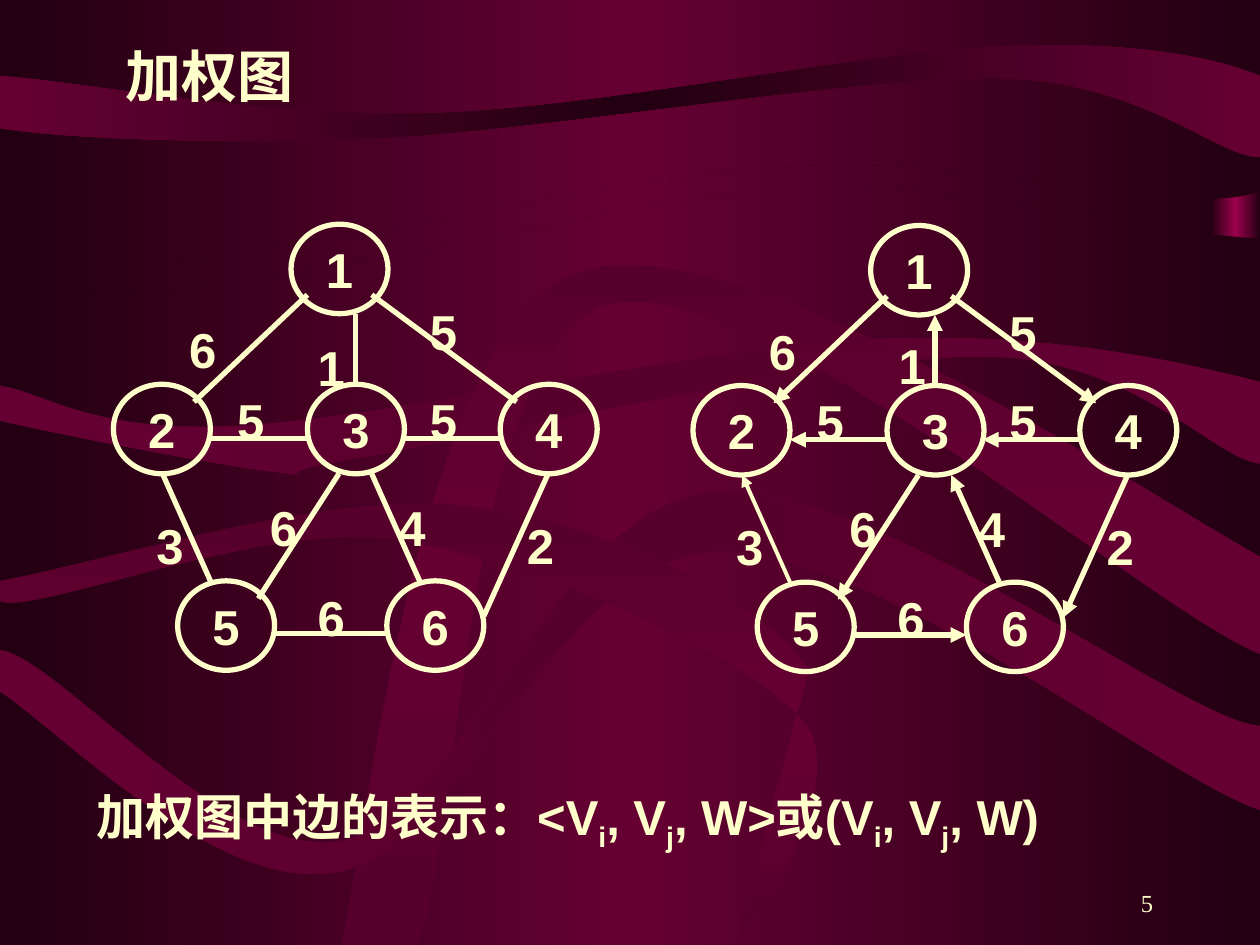
from copy import deepcopy
from dataclasses import dataclass

from lxml import etree
from pptx import Presentation
from pptx.dml.color import RGBColor
from pptx.enum import shapes, text
from pptx.oxml.ns import qn
from pptx.util import Pt

SCALE = 9144  # EMU per px, 100 px to the inch


@dataclass(frozen=True)
class Theme:
    ink: str = "FFFFCC"
    night: str = "220011"
    wine: str = "660033"
    plum: str = "56002B"
    glow: str = "9C004E"
    sans: str = "Arial"
    serif: str = "Times New Roman"
    title: int = 32
    body: int = 28
    number: int = 14
    stroke: float = 3
    thin_stroke: float = 2.25


THEME = Theme()
INK = RGBColor.from_string(THEME.ink)

# Outlines: a start point, then line ends (x, y) or Bezier curves (three points)
UPPER_FIELD = [(0, 0), (1000, 0), (1000, 152), (938, 174, 792, 122, 625, 132),
               (458, 142, 104, 233, 0, 211)]
LOWER_FIELD = [(0, 228), (178, 245, 340, 194, 458, 174), (458, 174, 567, 158, 586, 155),
               (715, 127, 917, 189, 1000, 189), (1000, 750), (0, 750)]
TOP_RIBBON = [(0, 60), (0, 102), (51, 110, 176, 115, 308, 109),
              (440, 102, 679, 60, 794, 62), (909, 65, 966, 125, 1000, 125), (1000, 60),
              (965, 46, 901, 32, 792, 37), (682, 42, 477, 86, 345, 90),
              (213, 94, 72, 66, 0, 60)]
MIDDLE_RIBBON = [(0, 306), (0, 334), (37, 343, 175, 370, 222, 375),
                 (269, 380, 190, 379, 282, 364), (375, 348, 660, 282, 780, 283),
                 (900, 283, 963, 365, 1000, 368), (1000, 303),
                 (950, 290, 836, 263, 701, 269), (566, 274, 307, 332, 190, 338),
                 (73, 344, 40, 313, 0, 306)]
ARCH_RIBBON = [(271, 750), (291, 661, 332, 269, 454, 218), (575, 166, 909, 392, 1000, 442),
               (1000, 519), (913, 485, 591, 205, 479, 243), (368, 282, 366, 666, 331, 750)]
WAVE_RIBBON = [(0, 516), (0, 549), (45, 578, 174, 711, 269, 692),
               (363, 674, 443, 446, 565, 438), (687, 429, 927, 620, 1000, 643), (1000, 576),
               (938, 572, 691, 377, 562, 391), (441, 406, 367, 646, 273, 667),
               (179, 687, 45, 520, 0, 516)]
CURL_RIBBON = [(0, 461), (0, 477), (26, 489, 208, 413, 314, 428),
               (420, 444, 592, 518, 637, 572), (682, 625, 582, 757, 583, 750), (642, 532),
               (606, 474, 473, 413, 366, 401), (259, 389, 76, 448, 0, 461)]

# Graph parts, relative to the corner of the graph
NODE_SIZE, WEIGHT_SIZE = (77, 71), (64, 51)
NODES = [("1", 141, 0), ("2", 0, 127), ("3", 154, 127), ("4", 307, 127),
         ("5", 51, 283), ("6", 217, 283)]
EDGES = [  # ends, arrow end when directed, width when directed
    ((77, 170, 154, 170), "headEnd", THEME.stroke),
    ((230, 170, 307, 170), "headEnd", THEME.stroke),
    ((192, 71, 192, 127), "headEnd", THEME.stroke),
    ((39, 198, 77, 283), "headEnd", THEME.thin_stroke),
    ((115, 297, 179, 198), "headEnd", THEME.stroke),
    ((205, 198, 243, 283), "headEnd", THEME.stroke),
    ((294, 311, 345, 198), "headEnd", THEME.stroke),
    ((128, 325, 217, 325), "tailEnd", THEME.stroke),
    ((64, 141, 154, 56), "headEnd", THEME.stroke),
    ((320, 141, 205, 56), "headEnd", THEME.stroke),
]
WEIGHTS = [("6", 39, 71), ("6", 141, 283), ("5", 230, 56), ("5", 77, 127),
           ("5", 230, 127), ("6", 103, 212), ("3", 13, 226), ("4", 205, 212),
           ("2", 307, 226)]


def emu(*lengths):
    return [round(length * SCALE) for length in lengths]


def fill_gradient(fill, element, edge, middle, angle=0):
    """Three stops: the same colour at both ends, another halfway."""
    fill.gradient()
    fill.gradient_angle = angle
    stops = element.find(".//" + qn("a:gsLst"))
    stops.insert(1, deepcopy(stops[0]))
    stops[1].set("pos", "50000")
    for stop, colour in zip(fill.gradient_stops, (edge, middle, edge)):
        stop.color.rgb = RGBColor.from_string(colour)


def finish_panel(shape, edge, middle, angle=0):
    shape.shadow.inherit = False
    shape.line.fill.background()
    fill_gradient(shape.fill, shape._element, edge, middle, angle)


def draw_outline(page, outline):
    """Draw the control points as lines, then join each curve's three into one."""
    start, *segments = outline
    points = [segment[i:i + 2] for segment in segments for i in range(0, len(segment), 2)]
    builder = page.shapes.build_freeform(*start, scale=SCALE)
    builder.add_line_segments(points, close=True)
    shape = builder.convert_to_shape()
    lines = iter(list(shape._element.iter(qn("a:lnTo"))))
    for segment in segments:
        line = next(lines)
        if len(segment) == 6:
            line.addprevious(curve := etree.Element(qn("a:cubicBezTo")))
            for part in (line, next(lines), next(lines)):
                curve.append(part[0])
                part.getparent().remove(part)
    return shape


def draw_backdrop(page):
    fill_gradient(page.background.fill, page._element, THEME.night, THEME.wine)
    bar = page.shapes.add_shape(shapes.MSO_SHAPE.RECTANGLE, *emu(961, 49, 39, 345))
    finish_panel(bar, THEME.night, THEME.glow)
    for outline, edge, middle, angle in (
            (UPPER_FIELD, THEME.night, THEME.wine, 0),
            (LOWER_FIELD, THEME.night, THEME.wine, 0),
            (TOP_RIBBON, THEME.wine, THEME.night, 0),
            (MIDDLE_RIBBON, THEME.wine, THEME.plum, 0),
            (ARCH_RIBBON, THEME.plum, THEME.wine, 90),
            (WAVE_RIBBON, THEME.wine, THEME.plum, 0),
            (CURL_RIBBON, THEME.plum, THEME.wine, 90)):
        finish_panel(draw_outline(page, outline), edge, middle, angle)


def write(shape, spans, size, align=text.PP_ALIGN.LEFT, anchor=text.MSO_ANCHOR.TOP,
          font=THEME.sans, bold=True):
    """Write (wording, is_subscript) spans as one paragraph."""
    frame = shape.text_frame
    frame.word_wrap = True
    frame.vertical_anchor = anchor
    para = frame.paragraphs[0]
    para.alignment = align
    para.font.name, para.font.size, para.font.bold = font, Pt(size), bold
    para.font.color.rgb = INK
    for wording, is_subscript in spans:
        span = para.add_run()
        span.text = wording
        if is_subscript:
            span._r.get_or_add_rPr().set("baseline", "-25000")


def draw_edge(group, ends, width, arrow=None):
    edge = group.shapes.add_connector(shapes.MSO_CONNECTOR.STRAIGHT, *emu(*ends))
    edge.line.color.rgb = INK
    edge.line.width = Pt(width)
    properties = edge._element.spPr
    if arrow:
        etree.SubElement(properties.find(qn("a:ln")), qn("a:" + arrow), type="triangle")
    etree.SubElement(properties, qn("a:effectLst"))


def draw_graph(page, left, top, middle_weight, directed=False):
    group = page.shapes.add_group_shape()
    # Nodes
    for name, x, y in NODES:
        node = group.shapes.add_shape(shapes.MSO_SHAPE.OVAL,
                                      *emu(left + x, top + y, *NODE_SIZE))
        node.shadow.inherit = False
        node.fill.background()
        node.line.color.rgb = INK
        node.line.width = Pt(THEME.stroke)
        write(node, [(name, False)], THEME.body, text.PP_ALIGN.CENTER,
              text.MSO_ANCHOR.MIDDLE)
    # Edges
    for (x1, y1, x2, y2), arrow, width in EDGES:
        draw_edge(group, (left + x1, top + y1, left + x2, top + y2),
                  width if directed else THEME.stroke, arrow if directed else None)
    # Weights
    for weight, x, y in [*WEIGHTS, middle_weight]:
        label = group.shapes.add_textbox(*emu(left + x, top + y, *WEIGHT_SIZE))
        write(label, [(weight, False)], THEME.body, text.PP_ALIGN.CENTER)


def draw_line_of_text(page, box, spans, size):
    line = page.shapes.add_textbox(*emu(*box))
    line.text_frame.auto_size = text.MSO_AUTO_SIZE.SHAPE_TO_FIT_TEXT
    write(line, spans, size)


def draw_page_number(page, box):
    number = page.shapes.add_textbox(*emu(*box))
    write(number, [("5", False)], THEME.number, text.PP_ALIGN.RIGHT,
          text.MSO_ANCHOR.BOTTOM, THEME.serif, bold=False)


def main():
    deck = Presentation()
    deck.slide_width, deck.slide_height = emu(1000, 750)
    page = deck.slides.add_slide(deck.slide_layouts[6])
    draw_backdrop(page)
    draw_page_number(page, (717, 683, 208, 50))
    draw_graph(page, 90, 178, ("1", 141, 85))
    draw_graph(page, 550, 179, ("1", 142, 82), directed=True)
    caption = ["加权图中边的表示：<V", "i", ", V", "j", ", W>或(V", "i", ", V", "j", ", W)"]
    draw_line_of_text(page, (67, 619, 819, 63),
                      [(part, part in "ij") for part in caption], THEME.body)
    draw_line_of_text(page, (90, 28, 221, 64), [("加权图", False)], THEME.title)
    deck.save("out.pptx")


if __name__ == "__main__":
    main()
